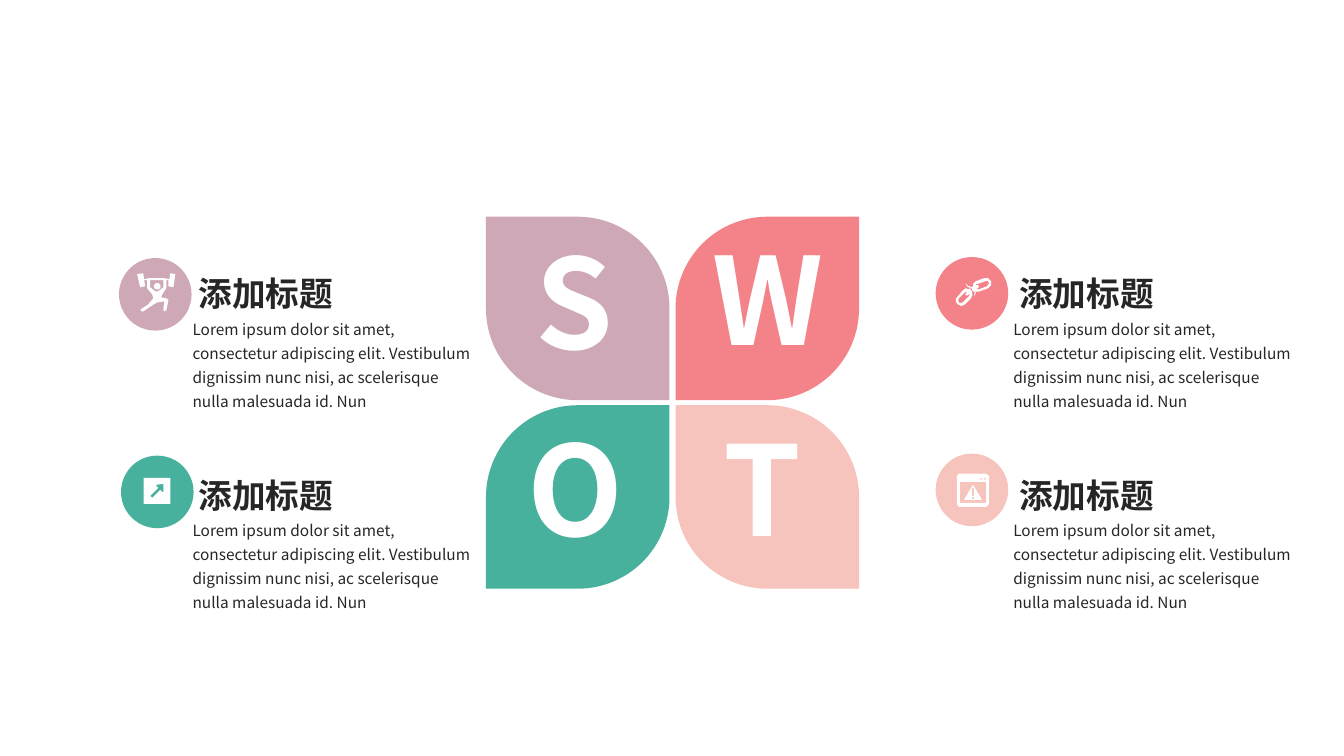
from dataclasses import dataclass
from math import cos, pi, sin

from lxml import etree
from pptx import Presentation
from pptx.dml.color import RGBColor
from pptx.enum.shapes import MSO_SHAPE
from pptx.enum.text import MSO_AUTO_SIZE, PP_ALIGN
from pptx.oxml.ns import qn
from pptx.util import Emu, Inches, Pt

OVAL, LEAF = MSO_SHAPE.OVAL, MSO_SHAPE.ROUND_2_DIAG_RECTANGLE
GROW = MSO_AUTO_SIZE.SHAPE_TO_FIT_TEXT
LEFT, CENTER = PP_ALIGN.LEFT, PP_ALIGN.CENTER
FONT = "Noto Sans CJK SC"
WHITE, INK = "FFFFFF", "262626"
CELL = Inches(0.01)
COLS, ROWS = 1333, 750
FINE = 10
DISC, PETAL = 72, 182
TITLE = "添加标题"
BODY = (
    "Lorem ipsum dolor sit amet, consectetur adipiscing elit. Vestibulum "
    "dignissim nunc nisi, ac scelerisque nulla malesuada id. Nun"
)

Ring = list[tuple[float, float]]


@dataclass
class Part:
    letter: str
    size: float
    hue: str
    col: int
    row: int
    mark: tuple[int, int]
    disc: tuple[int, int]
    icon: list[Ring]


def grid(count: float) -> Emu:
    return Emu(round(count * CELL))


def color(code: str) -> RGBColor:
    return RGBColor.from_string(code)


def round_ring(x: float, y: float, size: float) -> Ring:
    turns = [2 * pi * step / 16 for step in range(16)]
    return [(x + size * cos(turn), y + size * sin(turn)) for turn in turns]


def box_ring(left: float, top: float, right: float, base: float) -> Ring:
    return [(left, top), (right, top), (right, base), (left, base)]


def paint(shape, hue: str):
    shape.shadow.inherit = False
    shape.fill.solid()
    shape.fill.fore_color.rgb = color(hue)
    shape.line.fill.background()
    return shape


def add_form(shapes, kind, x: float, y: float, side: float, hue: str):
    return paint(shapes.add_shape(kind, *map(grid, (x, y, side, side))), hue)


def add_icon(shapes, x: float, y: float, rings: list[Ring]) -> None:
    fine = [[(a * FINE, b * FINE) for a, b in ring] for ring in rings]
    pen = shapes.build_freeform(*fine[0][0], scale=CELL / FINE)
    for ring in fine:
        if ring is not fine[0]:
            pen.move_to(*ring[0])
        pen.add_line_segments(ring[1:], close=True)
    paint(pen.convert_to_shape(grid(x), grid(y)), WHITE)


def add_text(shapes, text: str, x: float, y: float, wide: float, high: float, *,
             size: float, hue: str = INK, bold: bool = False, align=LEFT,
             space: float = 1.0, pad: tuple[int, int] = (12, 6)) -> None:
    frame = shapes.add_textbox(*map(grid, (x, y, wide, high))).text_frame
    frame.word_wrap = True
    frame.auto_size = GROW
    frame.margin_left = frame.margin_right = grid(pad[0])
    frame.margin_top = frame.margin_bottom = grid(pad[1])
    para = frame.paragraphs[0]
    para.alignment = align
    para.line_spacing = space
    run = para.add_run()
    run.text = text
    font = run.font
    font.size, font.bold, font.name = Pt(size), bold, FONT
    font.color.rgb = color(hue)
    east = etree.SubElement(run._r.get_or_add_rPr(), qn("a:ea"))
    east.set("typeface", FONT)


LIFTER = [
    [(56, 16), (54, 29), (49, 28), (49, 22), (47, 22), (47, 30), (43, 36),
     (42, 39), (47, 40), (49, 42), (47, 52), (45, 53), (44, 51), (45, 43),
     (38, 44), (33, 47), (24, 53), (22, 53), (21.5, 51), (29, 46), (34, 40),
     (33, 36), (28, 30), (28, 22), (25, 22), (26, 28), (21, 29), (18, 16),
     (24, 15), (25, 21), (30, 20), (45, 20), (50, 21), (51, 15)],
    [(44, 22), (31, 22), (31, 29), (36, 33), (39, 33), (44, 29)],
    round_ring(38, 28, 3.3),
]
CHAIN = [
    [(37, 33), (35, 33), (34, 31), (33, 32), (30, 31), (27, 33), (22, 39),
     (20, 41.5), (20, 44.5), (22, 47), (25.5, 48.5), (29, 47), (35, 41),
     (36.5, 38), (36, 34)],
    [(33, 39), (27, 45), (25, 45.7), (23, 45), (22.3, 43), (23, 41), (29, 35),
     (32, 34), (30, 36), (29.5, 37), (30, 38), (32, 38), (34, 36)],
    [(55, 24), (52, 21), (48, 21), (40, 24), (37.5, 26), (37, 29), (35, 30),
     (36, 32), (37, 33), (38, 33), (41, 34.5), (44, 34), (52, 31), (55, 28)],
    [(51, 29), (43, 32), (41.5, 32), (40, 31), (42, 31), (43, 29), (42, 28),
     (40, 28), (39, 29), (40, 27), (41, 27), (49, 24), (52, 24), (53, 26)],
    [(38, 33), (40, 35), (39, 38), (38, 38), (39, 35), (37, 34)],
    [(32, 30), (30, 27), (31, 27), (32, 29), (34, 29), (35, 31), (33, 30)],
]
ARROW = [
    box_ring(22.5, 22, 49, 48),
    [(42, 36), (41, 36), (39, 34), (31, 42), (29, 40), (37, 32), (35, 30),
     (35, 29), (42, 28)],
]
ALERT = [
    [(21, 22), (23, 20), (50, 20), (53, 22), (53, 50), (50, 53), (23, 53),
     (21, 50)],
    round_ring(45, 25, 1),
    round_ring(48.5, 25, 1),
    box_ring(24, 28, 50, 49),
    [(28, 46), (46, 46), (37, 31)],
    box_ring(36, 34, 38, 42),
    box_ring(36, 43, 38, 45),
]
PARTS = [
    Part("S", 89, "CEA8B6", 0, 0, (492, 218), (118, 256), LIFTER),
    Part("W", 86.5, "F38388", 1, 0, (684, 218), (928, 255), CHAIN),
    Part("O", 89, "47B19D", 0, 1, (493, 404), (120, 452), ARROW),
    Part("T", 89, "F6C4BC", 1, 1, (678, 404), (928, 450), ALERT),
]


def draw(shapes, part: Part) -> None:
    leaf = shapes.add_group_shape().shapes
    petal = add_form(leaf, LEAF, 482 + 188 * part.col, 215 + 187 * part.row,
                     PETAL, part.hue)
    same = part.col == part.row
    petal.adjustments[0] = 0 if same else 0.5
    petal.adjustments[1] = 0.5 if same else 0
    add_text(leaf, part.letter, *part.mark, 156, 160, size=part.size,
             hue=WHITE, bold=True, align=CENTER, pad=(10, 5))

    badge = shapes.add_group_shape().shapes
    add_form(badge, OVAL, *part.disc, DISC, part.hue)
    add_icon(badge, *part.disc, part.icon)

    x, y = 179 + 814 * part.col, 265 + 200 * part.row
    add_text(shapes, BODY, x, y + 41, 304, 106, size=11, space=1.3)
    add_text(shapes, TITLE, x + 6, y, 181, 53, size=24, bold=True)


def main() -> None:
    deck = Presentation()
    deck.slide_width, deck.slide_height = grid(COLS), grid(ROWS)
    slide = deck.slides.add_slide(deck.slide_layouts[6])
    for part in PARTS:
        draw(slide.shapes, part)
    deck.save("out.pptx")


if __name__ == "__main__":
    main()
